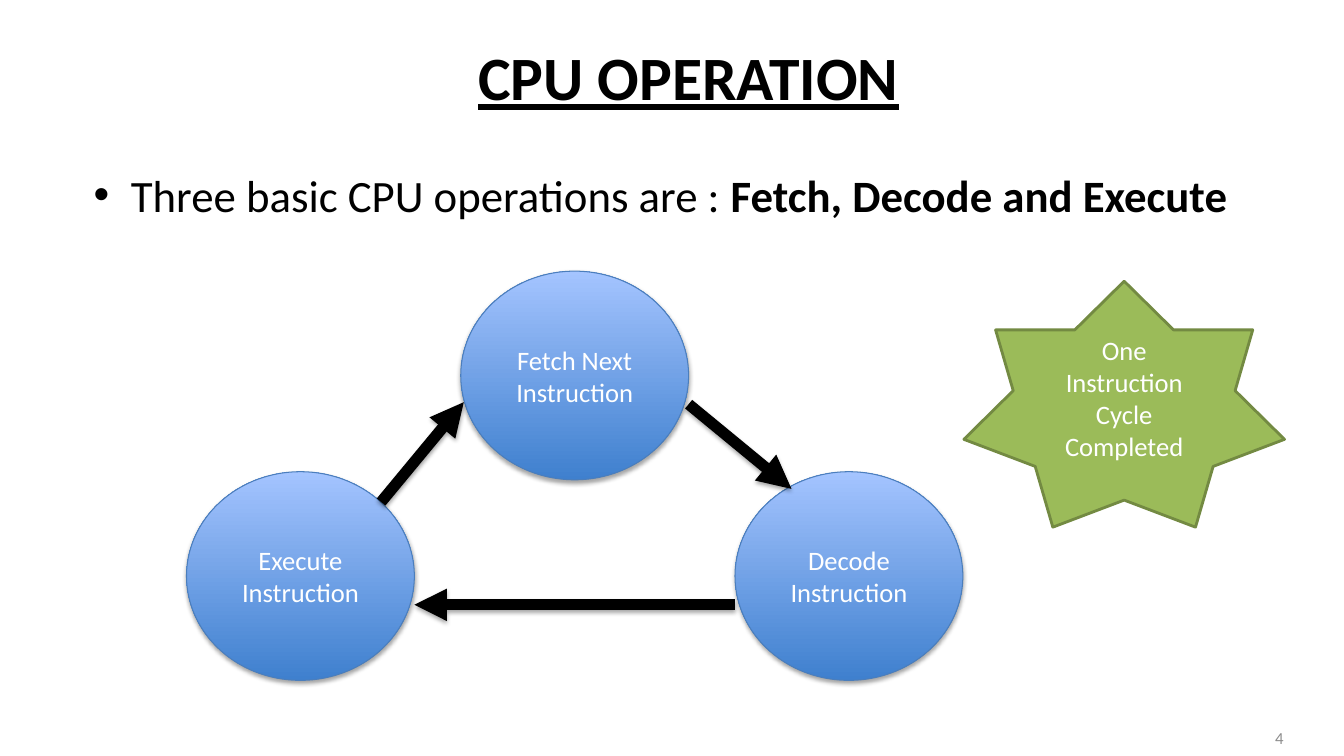
from lxml import etree
from pptx import Presentation
from pptx.dml.color import RGBColor
from pptx.enum.shapes import MSO_CONNECTOR, MSO_SHAPE
from pptx.enum.text import MSO_ANCHOR, PP_ALIGN
from pptx.oxml import parse_xml
from pptx.oxml.ns import nsdecls, qn
from pptx.util import Emu, Pt

EMU_PER_PX = 9144  # 100 px to the inch
BLACK = RGBColor(0x00, 0x00, 0x00)
WHITE = RGBColor(0xFF, 0xFF, 0xFF)
GREY = RGBColor(0x8C, 0x8C, 0x8C)
BLUE_DARK = RGBColor(0x3F, 0x80, 0xCE)
BLUE_LIGHT = RGBColor(0xA4, 0xC4, 0xFF)
BLUE_EDGE = RGBColor(0x4B, 0x7E, 0xBC)
GREEN = RGBColor(0x9B, 0xBB, 0x59)
GREEN_EDGE = RGBColor(0x73, 0x8A, 0x42)

SOFT_SHADOW = (
    f'<a:effectLst {nsdecls("a")}>'
    '<a:outerShdw blurRad="39370" dist="22860" dir="5400000" rotWithShape="0">'
    '<a:srgbClr val="000000"><a:alpha val="35000"/></a:srgbClr>'
    '</a:outerShdw></a:effectLst>'
)


def px(*lengths):
    return [Emu(length * EMU_PER_PX) for length in lengths]


def add_soft_shadow(properties):
    for effects in properties.findall(qn("a:effectLst")):
        properties.remove(effects)
    properties.append(parse_xml(SOFT_SHADOW))


class Page:
    font = "Calibri"
    label_size = 19

    def __init__(self, deck):
        self.slide = deck.slides.add_slide(deck.slide_layouts[5])
        self.shapes = self.slide.shapes

    def add_span(self, para, text, size, color, bold=False, underline=False):
        span = para.add_run()
        span.text = text
        font = span.font
        font.name, font.size, font.color.rgb = self.font, Pt(size), color
        font.bold, font.underline = bold, underline

    def title(self, text, *place):
        box = self.shapes.title
        box.left, box.top, box.width, box.height = px(*place)
        box.text_frame.vertical_anchor = MSO_ANCHOR.MIDDLE
        para = box.text_frame.paragraphs[0]
        para.alignment = PP_ALIGN.CENTER
        self.add_span(para, text, 44, BLACK, bold=True, underline=True)

    def text_box(self, align, anchor, *place):
        """Add an empty text box and return its paragraph."""
        frame = self.shapes.add_textbox(*px(*place)).text_frame
        frame.word_wrap = True
        frame.vertical_anchor = anchor
        para = frame.paragraphs[0]
        para.alignment = align
        return para

    def bullet(self, plain, strong, *place):
        para = self.text_box(PP_ALIGN.JUSTIFY, MSO_ANCHOR.TOP, *place)
        properties = para._p.get_or_add_pPr()
        indent = px(37)[0]
        properties.set("marL", str(indent))
        properties.set("indent", str(-indent))
        etree.SubElement(properties, qn("a:buFont"), typeface="Arial")
        etree.SubElement(properties, qn("a:buChar"), char="•")
        self.add_span(para, plain, 32, BLACK)
        self.add_span(para, strong, 32, BLACK, bold=True)

    def number(self, text, *place):
        para = self.text_box(PP_ALIGN.RIGHT, MSO_ANCHOR.MIDDLE, *place)
        self.add_span(para, text, 12, GREY)

    def labelled_shape(self, kind, text, edge, edge_width, *place):
        shape = self.shapes.add_shape(kind, *px(*place))
        shape.shadow.inherit = False
        shape.line.color.rgb = edge
        shape.line.width = Pt(edge_width)
        frame = shape.text_frame
        frame.word_wrap = True
        frame.vertical_anchor = MSO_ANCHOR.MIDDLE
        para = frame.paragraphs[0]
        para.alignment = PP_ALIGN.CENTER
        self.add_span(para, text, self.label_size, WHITE)
        return shape

    def stage(self, text, left, top):
        circle = self.labelled_shape(
            MSO_SHAPE.OVAL, text, BLUE_EDGE, 0.75, left, top, 226, 207)
        circle.fill.gradient()
        circle.fill.gradient_angle = 90
        colors = (BLUE_DARK, BLUE_LIGHT)
        for position, (stop, color) in enumerate(zip(circle.fill.gradient_stops, colors)):
            stop.position = position
            stop.color.rgb = color
        add_soft_shadow(circle._element.spPr)

    def star(self, text, *place):
        star = self.labelled_shape(
            MSO_SHAPE.STAR_7_POINT, text, GREEN_EDGE, 2, *place)
        star.fill.solid()
        star.fill.fore_color.rgb = GREEN

    def arrow(self, start, end, width=8):
        arrow = self.shapes.add_connector(MSO_CONNECTOR.STRAIGHT, *px(*start, *end))
        arrow.line.color.rgb = BLACK
        arrow.line.width = Pt(width)
        properties = arrow._element.spPr
        etree.SubElement(properties.find(qn("a:ln")), qn("a:tailEnd"), type="triangle")
        add_soft_shadow(properties)


def main():
    deck = Presentation()
    deck.slide_width, deck.slide_height = px(1333, 750)
    page = Page(deck)
    page.number("4", 972, 712, 311, 40)
    page.title("CPU OPERATION", 83, 16, 1200, 119)
    page.bullet("Three basic CPU operations are : ", "Fetch, Decode and Execute",
                83, 161, 1200, 479)
    page.stage("Fetch Next Instruction", 457, 269)
    page.stage("Decode Instruction", 729, 468)
    page.stage("Execute Instruction", 185, 468)
    page.arrow((683, 401), (785, 485))
    page.arrow((729, 600), (411, 600), 7.75)
    page.arrow((378, 498), (460, 399))
    page.star("One Instruction Cycle Completed", 956, 279, 318, 244)
    deck.save("out.pptx")


if __name__ == "__main__":
    main()
